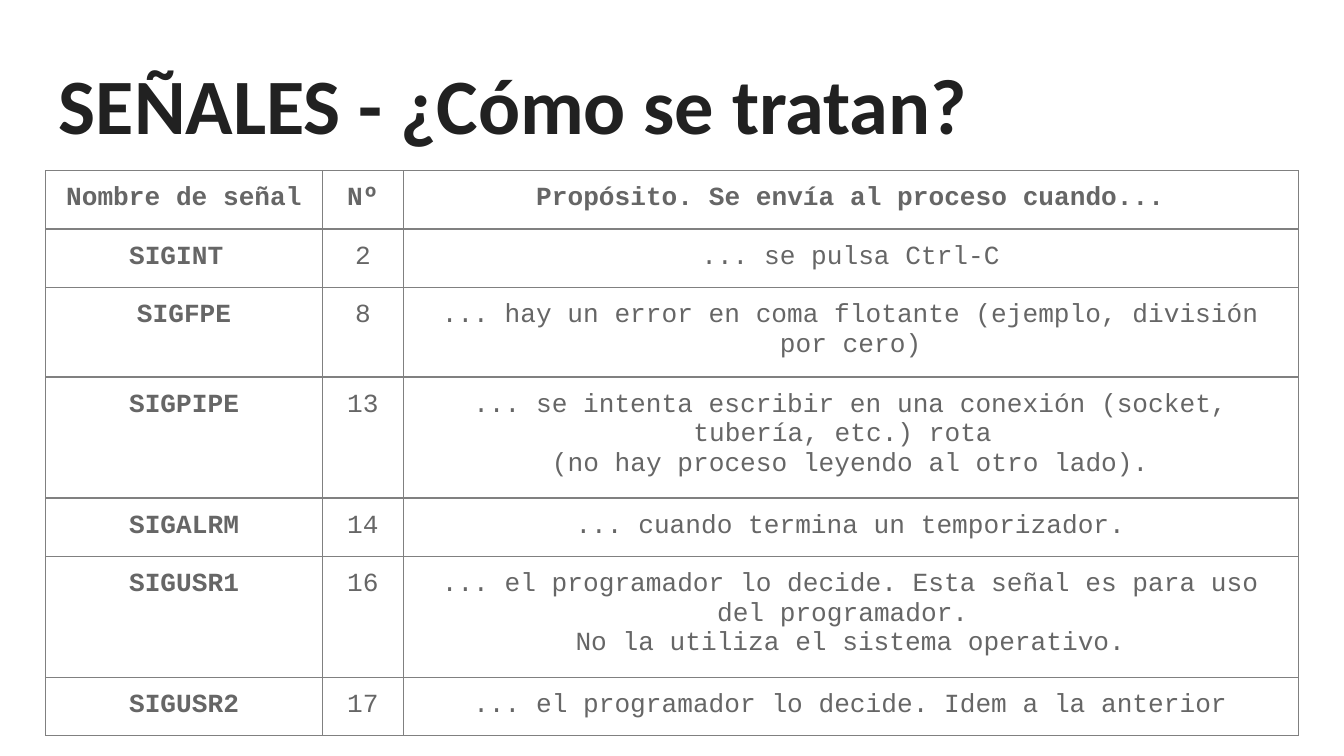
from pptx import Presentation
from pptx.dml.color import RGBColor
from pptx.enum.text import MSO_ANCHOR, PP_ALIGN
from pptx.oxml import parse_xml
from pptx.util import Inches, Pt

# Content
TITLE = "SEÑALES - ¿Cómo se tratan?"
ROWS = [
    ("Nombre de señal", "Nº", "Propósito. Se envía al proceso cuando..."),
    ("SIGINT ", "2", "... se pulsa Ctrl-C"),
    ("SIGFPE", "8", "... hay un error en coma flotante (ejemplo, división por cero)"),
    ("SIGPIPE", "13", "... se intenta escribir en una conexión (socket, tubería, etc.) rota \n"
                      "(no hay proceso leyendo al otro lado)."),
    ("SIGALRM", "14", "... cuando termina un temporizador."),
    ("SIGUSR1", "16", "... el programador lo decide. Esta señal es para uso del programador. \n"
                      "No la utiliza el sistema operativo."),
    ("SIGUSR2", "17", "... el programador lo decide. Idem a la anterior"),
]

# Format
COLORS = {"title": "212121", "text": "666666", "border": "808080"}
TITLE_FONT = {"name": "Calibri", "size": Pt(42), "bold": True}
CELL_FONT = {"name": "Courier New", "size": Pt(14)}
MARGINS = {f"margin_{side}": Inches(0.1) for side in ("left", "right", "top", "bottom")}
SLIDE_WIDTH = 10
LEFT, WIDTH = 0.34, 9.32
COLUMN_WIDTHS = (2.06, 0.6, 6.66)
ROW_HEIGHT = 0.42
DRAWING_NS = "http://schemas.openxmlformats.org/drawingml/2006/main"


def apply(target, values):
    for name, value in values.items():
        setattr(target, name, value)


def write(text_frame, text, font, color, align):
    text_frame.text = text
    for paragraph in text_frame.paragraphs:
        paragraph.alignment = align
        for run in paragraph.runs:
            apply(run.font, font)
            run.font.color.rgb = RGBColor.from_string(color)
        # The paragraph end must match the runs, or it makes the row taller
        paragraph._p.append(parse_xml(
            f'<a:endParaRPr xmlns:a="{DRAWING_NS}" sz="{int(font["size"].pt * 100)}">'
            f'<a:latin typeface="{font["name"]}"/></a:endParaRPr>'))


def add_borders(cell):
    properties = cell._tc.get_or_add_tcPr()
    for position, side in enumerate(("lnL", "lnR", "lnT", "lnB")):
        properties.insert(position, parse_xml(
            f'<a:{side} xmlns:a="{DRAWING_NS}" w="{Pt(0.75)}"><a:solidFill>'
            f'<a:srgbClr val="{COLORS["border"]}"/></a:solidFill></a:{side}>'))


# Widescreen slide, 16:9
presentation = Presentation()
apply(presentation, {"slide_width": Inches(SLIDE_WIDTH),
                     "slide_height": Inches(SLIDE_WIDTH * 9 / 16)})
slide = presentation.slides.add_slide(presentation.slide_layouts[6])

# Title
title = slide.shapes.add_textbox(Inches(LEFT), Inches(0.32), Inches(WIDTH), Inches(0.88))
apply(title.text_frame, {**MARGINS, "word_wrap": True, "vertical_anchor": MSO_ANCHOR.TOP})
write(title.text_frame, TITLE, TITLE_FONT, COLORS["title"], PP_ALIGN.LEFT)

# Signal table
table = slide.shapes.add_table(
    len(ROWS), len(COLUMN_WIDTHS), Inches(LEFT), Inches(1.27),
    Inches(WIDTH), Inches(ROW_HEIGHT * len(ROWS))).table
apply(table, {"first_row": False, "horz_banding": False})
for column, width in zip(table.columns, COLUMN_WIDTHS):
    column.width = Inches(width)

for row_index, texts in enumerate(ROWS):
    table.rows[row_index].height = Inches(ROW_HEIGHT)
    for column_index, text in enumerate(texts):
        cell = table.cell(row_index, column_index)
        apply(cell, {**MARGINS, "vertical_anchor": MSO_ANCHOR.TOP})
        cell.fill.background()
        add_borders(cell)
        font = {**CELL_FONT, "bold": row_index == 0 or column_index == 0}
        write(cell.text_frame, text, font, COLORS["text"], PP_ALIGN.CENTER)

presentation.save("out.pptx")
